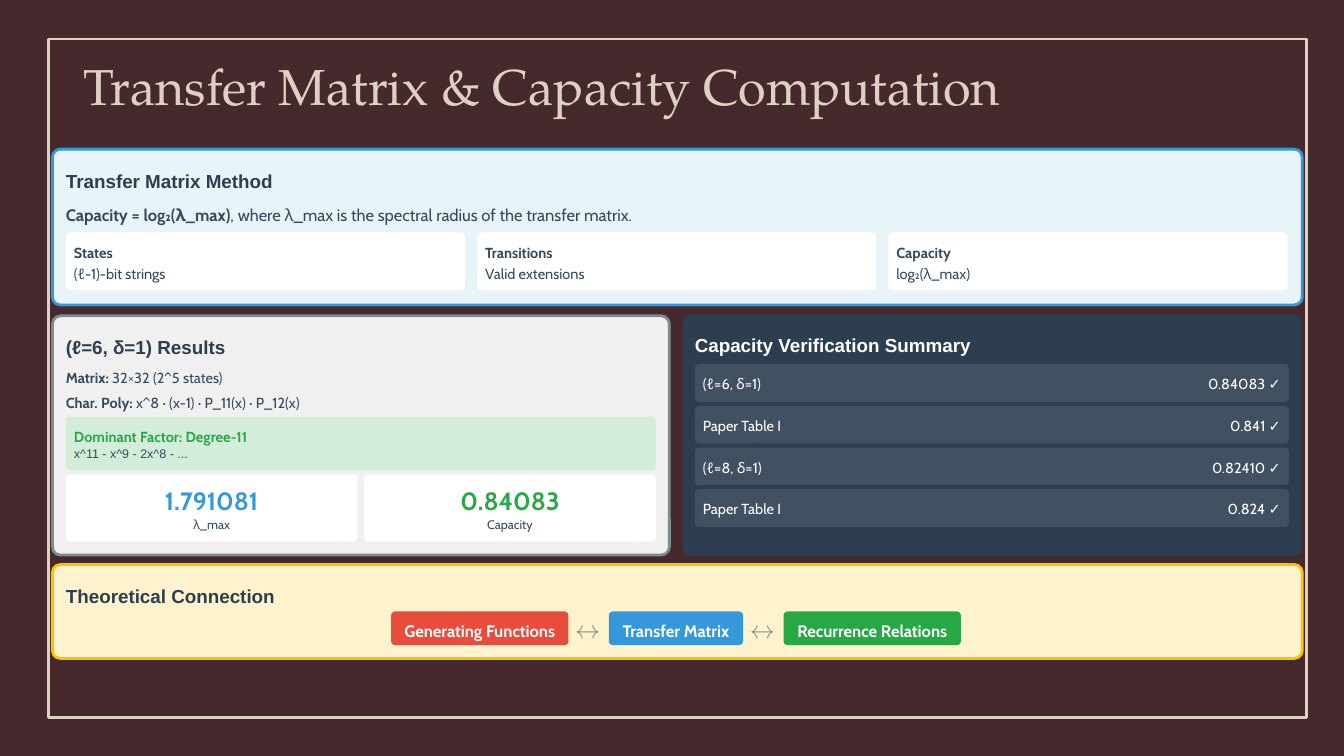
from lxml.etree import SubElement
from pptx import Presentation
from pptx.dml.color import RGBColor
from pptx.enum.shapes import MSO_SHAPE
from pptx.enum.text import MSO_ANCHOR, PP_ALIGN
from pptx.oxml.ns import qn
from pptx.util import Inches, Pt

COLORS = {
    "background": "46292C", "cream": "DFD1C2", "navy": "2C3E50", "slate": "34495E",
    "white": "FFFFFF", "blue": "3498DB", "green": "28A745", "red": "E74C3C",
    "gray": "7F8C8D", "yellow": "FFC107", "pale_blue": "E8F4F8",
    "pale_gray": "F0F0F0", "pale_green": "D4EDDA", "pale_yellow": "FFF3CD",
}
TITLE = "Transfer Matrix & Capacity Computation"
PANELS = [
    ("Transfer Matrix Method", 0.39, 1.11, 9.3, 1.16, "pale_blue", "blue", "navy"),
    ("(ℓ=6, δ=1) Results", 0.39, 2.35, 4.59, 1.78, "pale_gray", "gray", "navy"),
    ("Capacity Verification Summary", 5.08, 2.34, 4.61, 1.8, "navy", None, "white"),
    ("Theoretical Connection", 0.39, 4.2, 9.3, 0.7, "pale_yellow", "yellow", "navy"),
]
METHOD = [("Capacity = log₂(λ_max)", True),
          (", where λ_max is the spectral radius of the transfer matrix.", False)]
CONCEPTS = [("States", "(ℓ-1)-bit strings"), ("Transitions", "Valid extensions"),
            ("Capacity", "log₂(λ_max)")]
DETAILS = [("Matrix:", " 32×32 (2^5 states)"),
           ("Char. Poly:", " x^8 · (x-1) · P_11(x) · P_12(x)")]
FACTOR = ("Dominant Factor: Degree-11", "x^11 - x^9 - 2x^8 - ...")
METRICS = [("1.791081", "λ_max", "blue"), ("0.84083", "Capacity", "green")]
CHECKS = [("(ℓ=6, δ=1)", "0.84083 ✓"), ("Paper Table I", "0.841 ✓"),
          ("(ℓ=8, δ=1)", "0.82410 ✓"), ("Paper Table I", "0.824 ✓")]
LINKS = [("Generating Functions", 1.32, "red"), ("Transfer Matrix", 1, "blue"),
         ("Recurrence Relations", 1.32, "green")]

INNER_LEFT = 0.49
PAD = 0.06


def color(name):
    return RGBColor.from_string(COLORS[name])


def add_box(left, top, width, height, fill, line=None, radius=0.03, opacity=None):
    kind = MSO_SHAPE.ROUNDED_RECTANGLE if radius else MSO_SHAPE.RECTANGLE
    shape = slide.shapes.add_shape(
        kind, Inches(left), Inches(top), Inches(width), Inches(height))
    shape.shadow.inherit = False
    if radius:
        shape.adjustments[0] = radius / min(width, height)
    if fill:
        shape.fill.solid()
        shape.fill.fore_color.rgb = color(fill)
    else:
        shape.fill.background()
    if line:
        shape.line.color.rgb = color(line)
        shape.line.width = Pt(1.5)
    else:
        shape.line.fill.background()
    if opacity:
        fill_color = shape.fill._xPr.find(qn("a:solidFill"))[0]
        SubElement(fill_color, qn("a:alpha")).set("val", str(opacity * 1000))
    return shape


def write(shape, runs, size, ink, font="Cabin", spacing=1.2, align=PP_ALIGN.LEFT,
          anchor=MSO_ANCHOR.MIDDLE, wrap=True, inset_top=0):
    frame = shape.text_frame
    frame.word_wrap = wrap
    frame.vertical_anchor = anchor
    frame.margin_left = frame.margin_right = frame.margin_bottom = 0
    frame.margin_top = Inches(inset_top)
    paragraph = frame.paragraphs[0]
    paragraph.alignment = align
    paragraph.line_spacing = spacing
    for content, bold in runs:
        run = paragraph.add_run()
        run.text = content
        run.font.name = font
        run.font.size = Pt(size)
        run.font.bold = bold
        run.font.color.rgb = color(ink)


def add_text(left, top, width, height, runs, size, ink, **options):
    box = slide.shapes.add_textbox(
        Inches(left), Inches(top), Inches(width), Inches(height))
    write(box, runs, size, ink, **options)


presentation = Presentation()
presentation.slide_width = Inches(10)
presentation.slide_height = Inches(10 * 9 / 16)
slide = presentation.slides.add_slide(presentation.slide_layouts[6])
slide.background.fill.solid()
slide.background.fill.fore_color.rgb = color("background")

add_box(0.36, 0.29, 9.36, 5.05, None, "cream", radius=0)
add_text(0.62, 0.4, 8.69, 0.47, [(TITLE, False)], 27, "cream", font="TeX Gyre Pagella",
         spacing=0.8, anchor=MSO_ANCHOR.TOP, inset_top=0.1)

for heading, left, top, width, height, fill, line, ink in PANELS:
    inset = 0.1 if line else 0.09
    add_box(left, top, width, height, fill, line, radius=0.06)
    add_text(left + inset, top + inset, width - 0.15, 0.22, [(heading, True)], 10.05, ink,
             font="Arial", spacing=1.3)

add_text(INNER_LEFT, 1.48, 9.14, 0.19, METHOD, 8.9, "slate", spacing=1.3)
for index, (name, meaning) in enumerate(CONCEPTS):
    left = INNER_LEFT + index * 3.06
    add_box(left, 1.73, 2.97, 0.43, "white")
    add_text(left + PAD, 1.79, 2.9, 0.15, [(name, True)], 7.8, "slate")
    add_text(left + PAD, 1.95, 2.9, 0.15, [(meaning, False)], 7.8, "slate")

for index, (label, value) in enumerate(DETAILS):
    add_text(INNER_LEFT, 2.72 + index * 0.19, 4.44, 0.15,
             [(label, True), (value, False)], 7.8, "slate")

add_box(INNER_LEFT, 3.1, 4.39, 0.4, "pale_green")
add_text(INNER_LEFT + PAD, 3.16, 4.32, 0.15, [(FACTOR[0], True)], 7.8, "green")
add_text(INNER_LEFT + PAD, 3.31, 4.31, 0.12, [(FACTOR[1], False)], 6.7, "slate",
         font="Arial", spacing=1.1)

for index, (value, label, ink) in enumerate(METRICS):
    left = INNER_LEFT + index * 2.22
    add_box(left, 3.53, 2.17, 0.5, "white")
    add_text(left, 3.59, 2.17, 0.25, [(value, True)], 13.4, ink,
             spacing=1.1, align=PP_ALIGN.CENTER)
    add_text(left, 3.84, 2.17, 0.12, [(label, False)], 6.7, "slate",
             spacing=1.1, align=PP_ALIGN.CENTER)

row_left, row_width = 5.17, 4.42
for index, (case, value) in enumerate(CHECKS):
    top = 2.71 + index * 0.31
    add_box(row_left, top, row_width, 0.28, "white", opacity=10)
    add_text(row_left + PAD, top + PAD, 0.7, 0.15, [(case, False)], 7.8, "white")
    add_text(row_left + row_width - PAD - 0.6, top + PAD, 0.6, 0.15, [(value, False)],
             7.8, "white", align=PP_ALIGN.RIGHT)

left = 2.91
for index, (name, width, fill) in enumerate(LINKS):
    if index:
        add_text(left - 0.25, 4.55, 0.28, 0.25, [("↔", False)], 13.4, "gray", spacing=1.1)
    pill = add_box(left, 4.55, width, 0.25, fill)
    write(pill, [(name, True)], 8.9, "white", spacing=1.3,
          align=PP_ALIGN.CENTER, wrap=False)
    left += width + 0.3

presentation.save("out.pptx")
